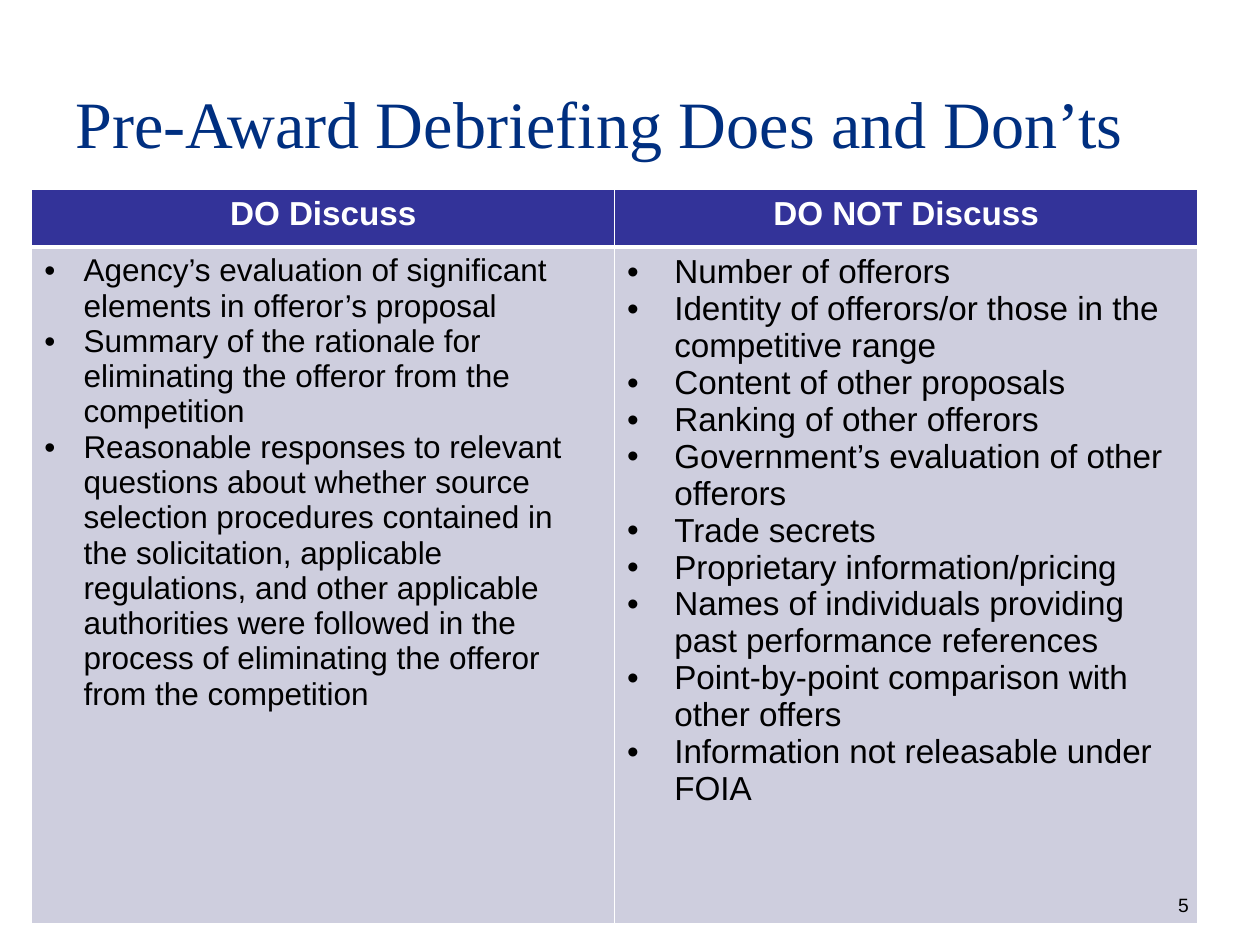
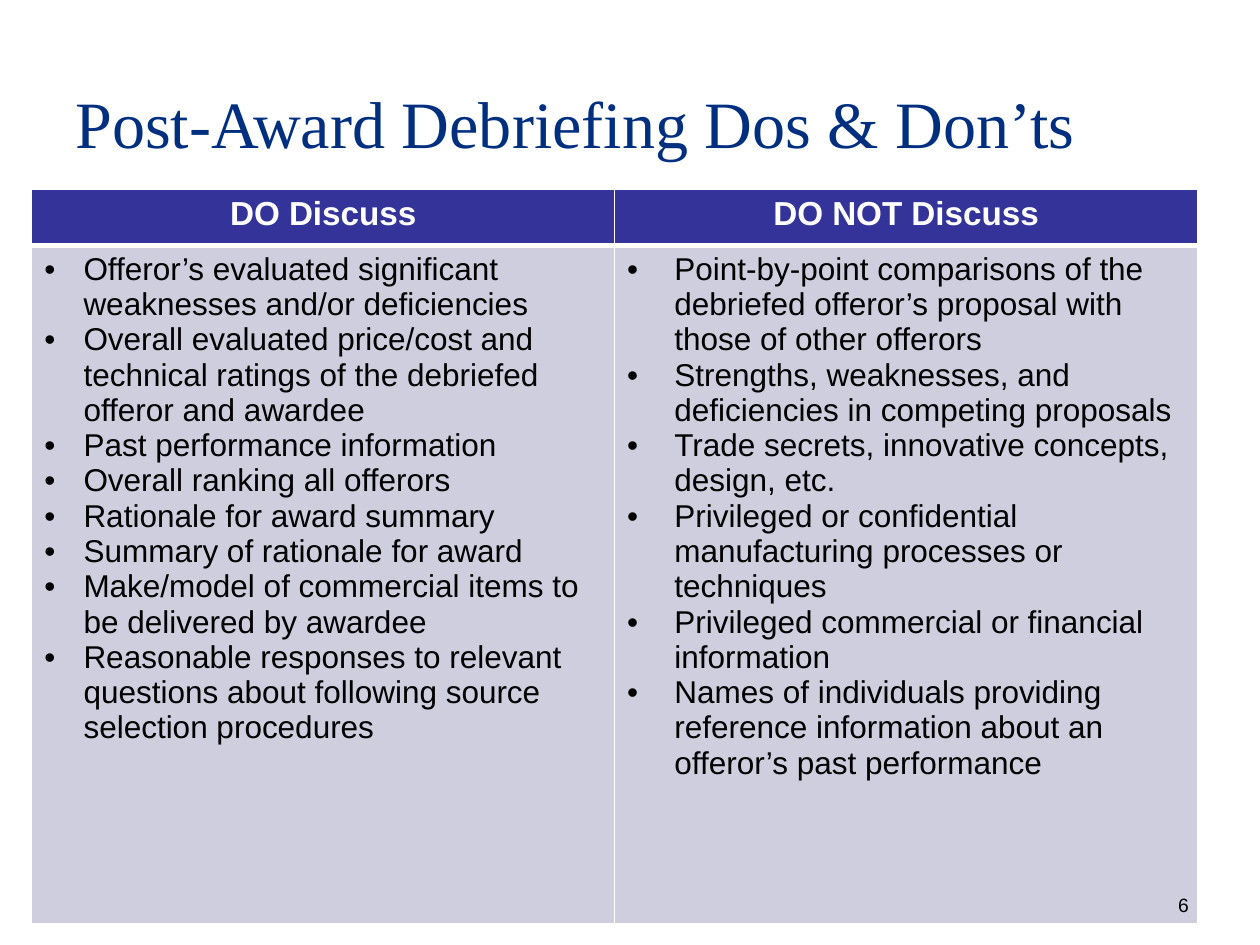
from lxml import etree
from pptx import Presentation
from pptx.dml.color import RGBColor
from pptx.enum.text import MSO_ANCHOR, PP_ALIGN
from pptx.oxml.ns import qn
from pptx.util import Cm, Pt

CENTER, LEFT = PP_ALIGN.CENTER, PP_ALIGN.LEFT
MIDDLE = MSO_ANCHOR.MIDDLE

# Shared look
WHITE, BLACK = "FFFFFF", "000000"
TITLE_BLUE, HEADER_BLUE, BODY_FILL = "002F80", "333399", "CECEDE"
BODY_FONT, TITLE_FONT = "Arial", "Times New Roman"
THIN, THICK = 1, 3

# Boxes in cm: left, top, width, height
TITLE_BOX = (1.27, 0.76, 22.86, 3.18)
TABLE_BOX = (0.64, 3.81, 23.5, 14.82)
NUMBER_BOX = (23.5, 17.86, 1.47, 0.76)

HEADINGS = ["DO Discuss", "DO NOT Discuss"]
INDENTS = [0.79, 0.95]

DEBRIEFINGS = [
    {
        "number": 5,
        "title": "Pre-Award Debriefing Does and Don’ts",
        "header_height": 1.17,
        "sizes": [18, 19],
        "lists": [
            [
                "Agency’s evaluation of significant elements in offeror’s proposal",
                "Summary of the rationale for eliminating the offeror from the competition",
                "Reasonable responses to relevant questions about whether source "
                "selection procedures contained in the solicitation, applicable "
                "regulations, and other applicable authorities were followed in the "
                "process of eliminating the offeror from the competition",
            ],
            [
                "Number of offerors",
                "Identity of offerors/or those in the competitive range",
                "Content of other proposals",
                "Ranking of other offerors",
                "Government’s evaluation of other offerors",
                "Trade secrets",
                "Proprietary information/pricing",
                "Names of individuals providing past performance references",
                "Point-by-point comparison with other offers",
                "Information not releasable under FOIA",
            ],
        ],
    },
    {
        "number": 6,
        "title": "Post-Award Debriefing Dos & Don’ts",
        "header_height": 1.14,
        "sizes": [18, 18],
        "lists": [
            [
                "Offeror’s evaluated significant weaknesses and/or deficiencies",
                "Overall evaluated price/cost and technical ratings of the debriefed "
                "offeror and awardee",
                "Past performance information",
                "Overall ranking all offerors",
                "Rationale for award summary",
                "Summary of rationale for award",
                "Make/model of commercial items to be delivered by awardee",
                "Reasonable responses to relevant questions about following source "
                "selection procedures",
            ],
            [
                "Point-by-point comparisons of the debriefed offeror’s proposal with "
                "those of other offerors",
                "Strengths, weaknesses, and deficiencies in competing proposals",
                "Trade secrets, innovative concepts, design, etc.",
                "Privileged or confidential manufacturing processes or techniques",
                "Privileged commercial or financial information",
                "Names of individuals providing reference information about an "
                "offeror’s past performance",
            ],
        ],
    },
]


def color(hex_code):
    return RGBColor.from_string(hex_code)


def write(frame, lines, *, size, font=BODY_FONT, ink=BLACK, bold=False,
          align=LEFT, indent=None):
    """Fill a text frame with one paragraph per line, bulleted if indented."""
    for index, line in enumerate(lines):
        para = frame.paragraphs[0] if index == 0 else frame.add_paragraph()
        para.alignment = align
        span = para.add_run()
        span.text = line
        span.font.size, span.font.name, span.font.bold = Pt(size), font, bold
        span.font.color.rgb = color(ink)
        if indent:
            add_bullet(para, indent)


def add_bullet(para, indent):
    properties = para._p.get_or_add_pPr()
    properties.set("marL", str(Cm(indent)))
    properties.set("indent", str(-Cm(indent)))
    etree.SubElement(properties, qn("a:buFont"), typeface=BODY_FONT)
    etree.SubElement(properties, qn("a:buChar"), char="•")


def style_cell(cell, fill, top, bottom):
    """Set the fill and white borders; widths are in points."""
    cell.fill.solid()
    cell.fill.fore_color.rgb = color(fill)
    properties = cell._tc.get_or_add_tcPr()
    widths = {"lnL": THIN, "lnR": THIN, "lnT": top, "lnB": bottom}
    for index, (side, width) in enumerate(widths.items()):
        line = etree.Element(qn(f"a:{side}"), w=str(Pt(width)))
        solid = etree.SubElement(line, qn("a:solidFill"))
        etree.SubElement(solid, qn("a:srgbClr"), val=WHITE)
        properties.insert(index, line)


def add_text_box(page, box, text, **text_format):
    frame = page.shapes.add_textbox(*map(Cm, box)).text_frame
    frame.word_wrap = True
    frame.vertical_anchor = MIDDLE
    write(frame, [text], **text_format)
    return frame


def add_title(page, box, text):
    frame = add_text_box(page, box, text, size=37.8, font=TITLE_FONT, ink=TITLE_BLUE)
    frame.margin_top = Cm(0.33)


def add_discussion_table(page, box, debriefing):
    left, top, width, height = box
    table = page.shapes.add_table(2, 2, *map(Cm, box)).table
    table.horz_banding = False
    header_height = debriefing["header_height"]
    table.rows[0].height = Cm(header_height)
    table.rows[1].height = Cm(height - header_height)

    columns = zip(HEADINGS, debriefing["lists"], debriefing["sizes"], INDENTS)
    for index, (heading, points, size, indent) in enumerate(columns):
        table.columns[index].width = Cm(width / 2)
        header, body = table.cell(0, index), table.cell(1, index)
        style_cell(header, HEADER_BLUE, THIN, THICK)
        style_cell(body, BODY_FILL, THICK, THIN)
        write(header.text_frame, [heading], size=19, ink=WHITE, bold=True, align=CENTER)
        write(body.text_frame, points, size=size, indent=indent)


def add_debriefing_page(deck, debriefing):
    page = deck.slides.add_slide(deck.slide_layouts[6])
    add_discussion_table(page, TABLE_BOX, debriefing)
    add_text_box(page, NUMBER_BOX, str(debriefing["number"]), size=11)
    add_title(page, TITLE_BOX, debriefing["title"])


def main():
    deck = Presentation()
    deck.slide_width, deck.slide_height = Cm(25.4), Cm(19.05)
    for debriefing in DEBRIEFINGS:
        add_debriefing_page(deck, debriefing)
    deck.save("out.pptx")


if __name__ == "__main__":
    main()
